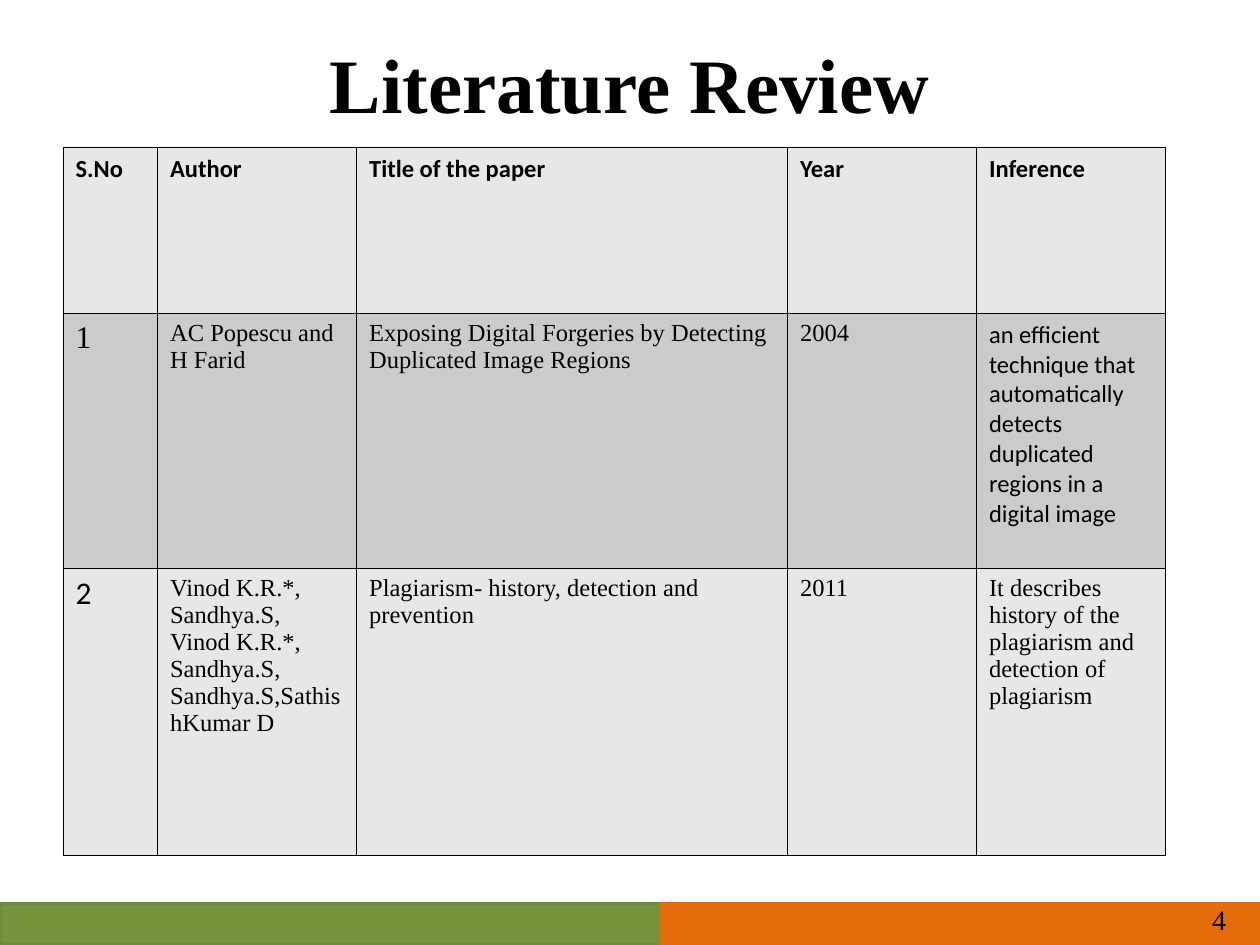
from lxml import etree
from pptx import Presentation
from pptx import util as u
from pptx.dml.color import RGBColor
from pptx.enum import shapes, text
from pptx.oxml import ns

WIDE, HIGH = 10, 7.5
BLACK = RGBColor(0x00, 0x00, 0x00)
LIGHT = RGBColor(0xE7, 0xE7, 0xE7)
DARK = RGBColor(0xCB, 0xCB, 0xCB)
GREEN = RGBColor(0x77, 0x93, 0x3C)
MOSS = RGBColor(0x71, 0x89, 0x3F)
ORANGE = RGBColor(0xE4, 0x6C, 0x0A)
SERIF, SANS = "Times New Roman", "Calibri"

COLS = [0.75, 1.58, 3.42, 1.5, 1.5]
ROWS = [1.32, 2.02, 2.28]
HEAD = ["S.No", "Author", "Title of the paper", "Year", "Inference"]
PAPERS = [
    ["1", "AC Popescu and H Farid",
     "Exposing Digital Forgeries by Detecting Duplicated Image Regions", "2004",
     "an efficient technique that automatically detects duplicated regions in a digital image"],
    ["2", "Vinod K.R.*, Sandhya.S, Vinod K.R.*, Sandhya.S, Sandhya.S,SathishKumar D",
     "Plagiarism- history, detection and prevention", "2011",
     "It describes history of the plagiarism and detection of plagiarism"],
]
SANS_CELLS = {(1, 4), (2, 0)}


def inches(box):
    return [u.Inches(side) for side in box]


def write(frame, words, size=14, face=SERIF, bold=False,
          align=text.PP_ALIGN.LEFT, anchor=None):
    """Put one formatted paragraph into a text frame."""
    frame.word_wrap = True
    if anchor is not None:
        frame.vertical_anchor = anchor
    para = frame.paragraphs[0]
    para.alignment = align
    run = para.add_run()
    run.text = words
    font = run.font
    font.size, font.name, font.bold = u.Pt(size), face, bold
    font.color.rgb = BLACK


def label(slide, box, words, **form):
    """Add a text box, centred vertically."""
    frame = slide.shapes.add_textbox(*inches(box)).text_frame
    write(frame, words, anchor=text.MSO_ANCHOR.MIDDLE, **form)


def border(cell, width=0.45):
    """Draw a thin line on all four sides of a cell."""
    props = cell._tc.get_or_add_tcPr()
    for spot, side in enumerate(("lnL", "lnR", "lnT", "lnB")):
        line = etree.Element(ns.qn("a:" + side), w=str(u.Pt(width)))
        fill = etree.SubElement(line, ns.qn("a:solidFill"))
        etree.SubElement(fill, ns.qn("a:srgbClr"), val=str(BLACK))
        props.insert(spot, line)


def footer(slide, box, number):
    """Two colour bands with the page number at the right."""
    left, top, width, height = box
    split = 0.525 * width
    bands = [(left, split, GREEN, MOSS),
             (left + split, width - split, ORANGE, ORANGE)]
    for start, span, fill, edge in bands:
        band = slide.shapes.add_shape(shapes.MSO_SHAPE.RECTANGLE,
                                      *inches((start, top, span, height)))
        band.shadow.inherit = False
        band.fill.solid()
        band.fill.fore_color.rgb = fill
        band.line.color.rgb = edge
        band.line.width = u.Pt(2)
    label(slide, (left + 0.75 * width, top - 0.07, 0.233 * width, height + 0.07),
          number, size=16, align=text.PP_ALIGN.RIGHT)


def review(slide, box):
    """Table of papers with shaded rows."""
    data = [HEAD] + PAPERS
    table = slide.shapes.add_table(len(ROWS), len(COLS), *inches(box)).table
    for col, share in zip(table.columns, COLS):
        col.width = u.Inches(box[2] * share / sum(COLS))
    for row, share in zip(table.rows, ROWS):
        row.height = u.Inches(box[3] * share / sum(ROWS))
    for r, line in enumerate(data):
        for c, words in enumerate(line):
            cell = table.cell(r, c)
            cell.fill.solid()
            cell.fill.fore_color.rgb = DARK if r % 2 else LIGHT
            border(cell)
            sans = r == 0 or (r, c) in SANS_CELLS
            write(cell.text_frame, words, size=18 if r and c == 0 else 14,
                  face=SANS if sans else SERIF, bold=r == 0)


def main():
    deck = Presentation()
    deck.slide_width, deck.slide_height = inches((WIDE, HIGH))
    slide = deck.slides.add_slide(deck.slide_layouts[6])
    footer(slide, (0, HIGH - 0.33, WIDE, 0.33), "4")
    label(slide, (0.05 * WIDE, 0.03, 0.9 * WIDE, 1.25), "Literature Review",
          size=44, bold=True, align=text.PP_ALIGN.CENTER)
    review(slide, (0.05 * WIDE, 1.17, 0.875 * WIDE, 5.62))
    deck.save("out.pptx")


if __name__ == "__main__":
    main()
